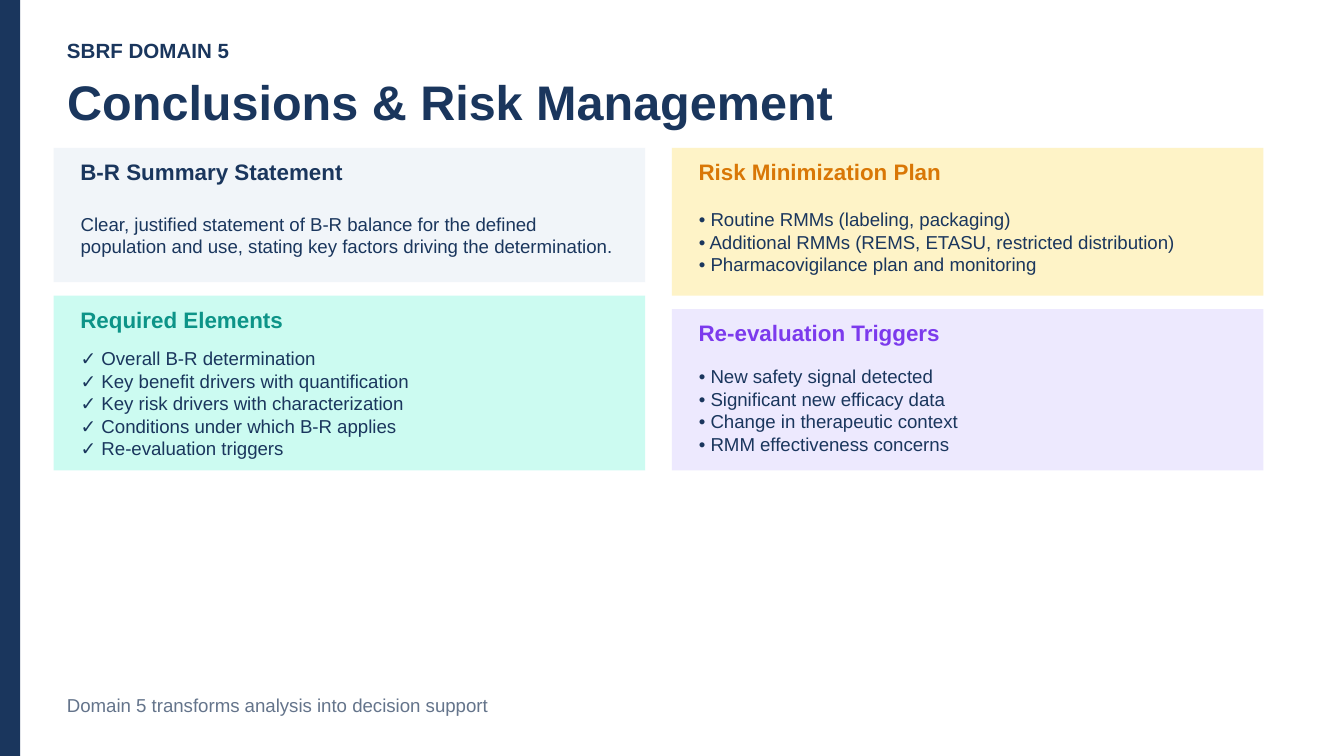
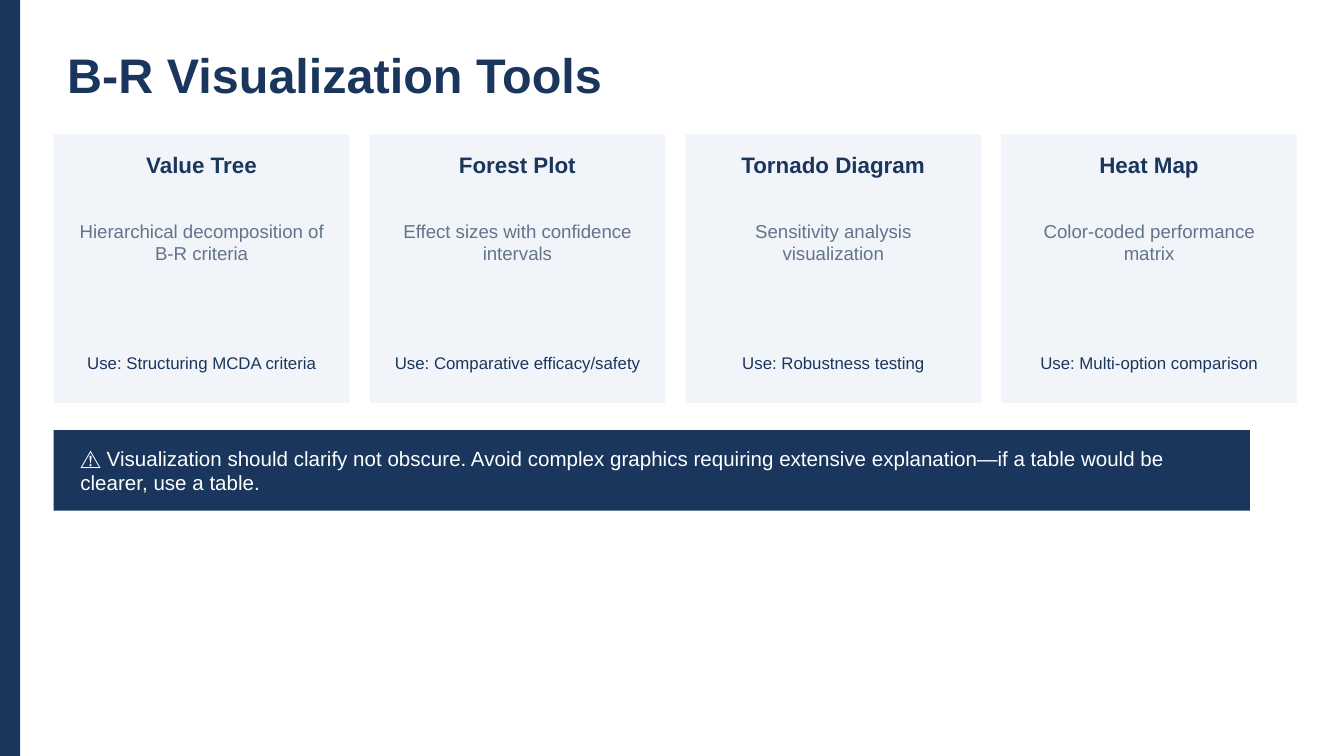
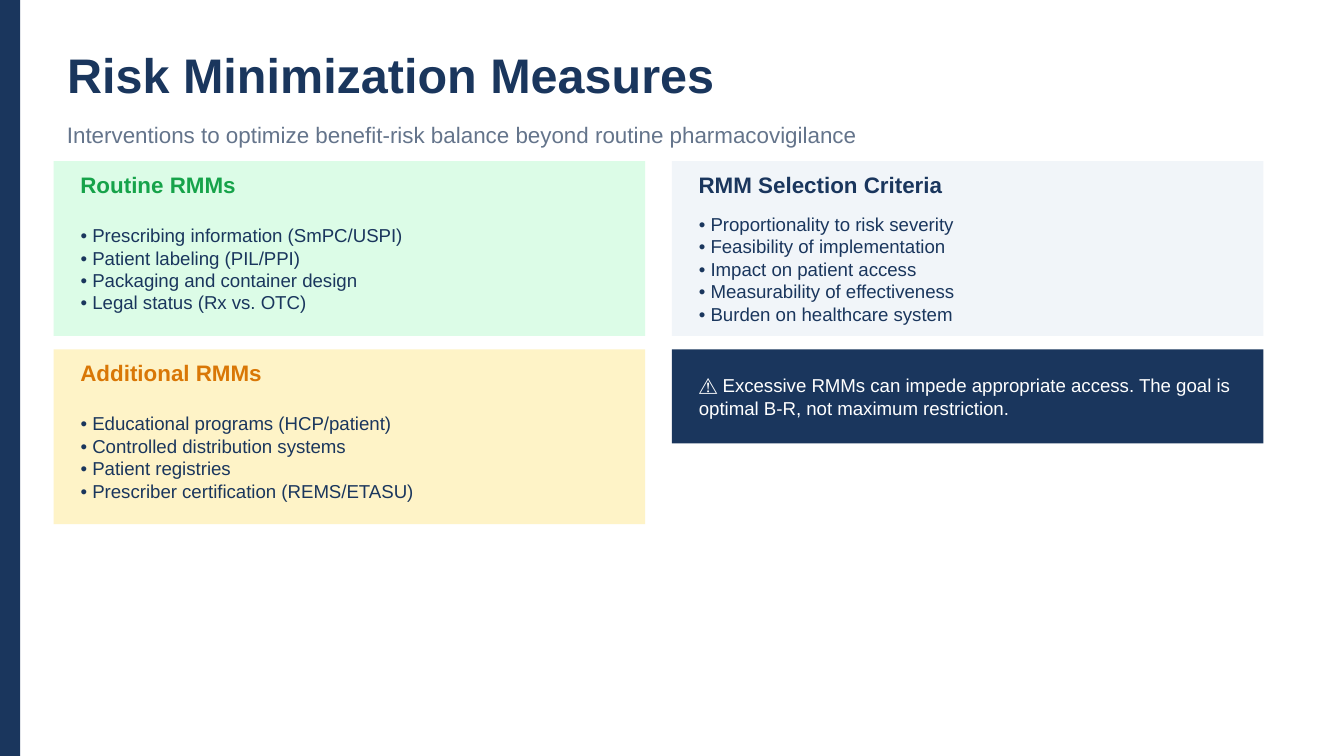
"""Build three slides on benefit-risk conclusions, visualization tools and risk minimization."""
from lxml import etree
from pptx import Presentation
from pptx import util as u
from pptx.dml.color import RGBColor
from pptx.enum import shapes, text
from pptx.oxml import ns

FONT = "Arial"
NAVY = RGBColor(0x1A, 0x36, 0x5D)
SLATE = RGBColor(0x64, 0x74, 0x8B)
WHITE = RGBColor(0xFF, 0xFF, 0xFF)
PALE_GREY = RGBColor(0xF1, 0xF5, 0xF9)
TEAL = RGBColor(0x0D, 0x94, 0x88)
PALE_TEAL = RGBColor(0xCC, 0xFB, 0xF1)
AMBER = RGBColor(0xD9, 0x77, 0x06)
PALE_AMBER = RGBColor(0xFE, 0xF3, 0xC7)
VIOLET = RGBColor(0x7C, 0x3A, 0xED)
PALE_VIOLET = RGBColor(0xED, 0xE9, 0xFE)
GREEN = RGBColor(0x16, 0xA3, 0x4A)
PALE_GREEN = RGBColor(0xDC, 0xFC, 0xE7)

MARGIN = 0.4
RIGHT_COLUMN = 5
CARD_WIDTH = 4.4
COMPARISON_LAYOUT, TITLE_ONLY_LAYOUT = 4, 5


def add_box(slide, left, top, width, height, fill):
    box = slide.shapes.add_shape(
        shapes.MSO_SHAPE.RECTANGLE, u.Inches(left), u.Inches(top), u.Inches(width), u.Inches(height))
    box.shadow.inherit = False
    box.fill.solid()
    box.fill.fore_color.rgb = fill
    box.line.fill.background()


def write(slide, left, top, width, height, lines, size, color=NAVY, bold=False,
          align=text.PP_ALIGN.LEFT, placeholder=None):
    area = [u.Inches(length) for length in (left, top, width, height)]
    shape = placeholder or slide.shapes.add_textbox(*area)
    shape.left, shape.top, shape.width, shape.height = area
    slide.shapes.element.append(shape.element)
    frame = shape.text_frame
    frame.text = "\n".join(lines)
    frame.word_wrap = True
    frame.auto_size = text.MSO_AUTO_SIZE.NONE
    frame.vertical_anchor = text.MSO_ANCHOR.MIDDLE
    for paragraph in frame.paragraphs:
        paragraph.alignment = align
        paragraph.space_before = u.Pt(0)
        paragraph.font.name = FONT
        paragraph.font.size = u.Pt(size)
        paragraph.font.bold = bold
        paragraph.font.color.rgb = color
        if placeholder:
            properties = paragraph._p.get_or_add_pPr()
            properties.set("marL", "0")
            properties.set("indent", "0")
            no_bullet = etree.Element(ns.qn("a:buNone"))
            properties.find(ns.qn("a:defRPr")).addprevious(no_bullet)


presentation = Presentation()
presentation.slide_width = u.Inches(10)
presentation.slide_height = u.Inches(5.625)

slides = []
for title, title_top, layout in [
    ("Conclusions & Risk Management", 0.5, COMPARISON_LAYOUT),
    ("B-R Visualization Tools", 0.3, TITLE_ONLY_LAYOUT),
    ("Risk Minimization Measures", 0.3, COMPARISON_LAYOUT),
]:
    slide = presentation.slides.add_slide(presentation.slide_layouts[layout])
    add_box(slide, 0, 0, 0.15, 5.625, NAVY)
    write(slide, MARGIN, title_top, 9, 0.5, [title], 26, bold=True, placeholder=slide.shapes.title)
    slides.append(slide)
conclusions, tools, measures = slides

write(conclusions, MARGIN, 0.25, 4, 0.25, ["SBRF DOMAIN 5"], 11, bold=True)
write(conclusions, MARGIN, 5.1, 9, 0.3, ["Domain 5 transforms analysis into decision support"], 10, SLATE)
write(measures, MARGIN, 0.85, 9, 0.3,
      ["Interventions to optimize benefit-risk balance beyond routine pharmacovigilance"], 12, SLATE)

conclusion_cards = [
    (MARGIN, 1.1, 1, PALE_GREY, NAVY, "B-R Summary Statement", [
        "Clear, justified statement of B-R balance for the defined population and use, "
        "stating key factors driving the determination."]),
    (MARGIN, 2.2, 1.3, PALE_TEAL, TEAL, "Required Elements", [
        "✓ Overall B-R determination",
        "✓ Key benefit drivers with quantification",
        "✓ Key risk drivers with characterization",
        "✓ Conditions under which B-R applies",
        "✓ Re-evaluation triggers"]),
    (RIGHT_COLUMN, 1.1, 1.1, PALE_AMBER, AMBER, "Risk Minimization Plan", [
        "• Routine RMMs (labeling, packaging)",
        "• Additional RMMs (REMS, ETASU, restricted distribution)",
        "• Pharmacovigilance plan and monitoring"]),
    (RIGHT_COLUMN, 2.3, 1.2, PALE_VIOLET, VIOLET, "Re-evaluation Triggers", [
        "• New safety signal detected",
        "• Significant new efficacy data",
        "• Change in therapeutic context",
        "• RMM effectiveness concerns"]),
]
measure_cards = [
    (MARGIN, 1.2, 1.3, PALE_GREEN, GREEN, "Routine RMMs", [
        "• Prescribing information (SmPC/USPI)",
        "• Patient labeling (PIL/PPI)",
        "• Packaging and container design",
        "• Legal status (Rx vs. OTC)"]),
    (MARGIN, 2.6, 1.3, PALE_AMBER, AMBER, "Additional RMMs", [
        "• Educational programs (HCP/patient)",
        "• Controlled distribution systems",
        "• Patient registries",
        "• Prescriber certification (REMS/ETASU)"]),
    (RIGHT_COLUMN, 1.2, 1.3, PALE_GREY, NAVY, "RMM Selection Criteria", [
        "• Proportionality to risk severity",
        "• Feasibility of implementation",
        "• Impact on patient access",
        "• Measurability of effectiveness",
        "• Burden on healthcare system"]),
    (RIGHT_COLUMN, 2.6, 0.7, NAVY, WHITE, None, [
        "⚠ Excessive RMMs can impede appropriate access. "
        "The goal is optimal B-R, not maximum restriction."]),
]
for slide, cards in [(conclusions, conclusion_cards), (measures, measure_cards)]:
    bodies = [shape for shape in slide.placeholders if shape.placeholder_format.idx > 0]
    for body, (left, top, height, fill, accent, heading, lines) in zip(bodies, cards):
        add_box(slide, left, top, CARD_WIDTH, height, fill)
        inner_left, inner_width = left + 0.1, CARD_WIDTH - 0.2
        if heading:
            write(slide, inner_left, top + 0.05, inner_width, 0.25, [heading], 12, accent, bold=True)
            write(slide, inner_left, top + 0.35, inner_width, height - 0.4, lines, 10, placeholder=body)
        else:
            write(slide, inner_left, top + 0.1, inner_width, height - 0.2, lines, 10, accent,
                  placeholder=body)

TOOL_WIDTH, TOOL_GAP = 2.2, 0.15
CENTER = text.PP_ALIGN.CENTER
for column, (name, description, use) in enumerate([
    ("Value Tree", "Hierarchical decomposition of B-R criteria", "Use: Structuring MCDA criteria"),
    ("Forest Plot", "Effect sizes with confidence intervals", "Use: Comparative efficacy/safety"),
    ("Tornado Diagram", "Sensitivity analysis visualization", "Use: Robustness testing"),
    ("Heat Map", "Color-coded performance matrix", "Use: Multi-option comparison"),
]):
    left = MARGIN + column * (TOOL_WIDTH + TOOL_GAP)
    add_box(tools, left, 1, TOOL_WIDTH, 2, PALE_GREY)
    write(tools, left, 1.05, TOOL_WIDTH, 0.35, [name], 12, bold=True, align=CENTER)
    write(tools, left + 0.05, 1.45, TOOL_WIDTH - 0.1, 0.7, [description], 10, SLATE, align=CENTER)
    write(tools, left + 0.05, 2.5, TOOL_WIDTH - 0.1, 0.4, [use], 9, align=CENTER)

add_box(tools, MARGIN, 3.2, 8.9, 0.6, NAVY)
write(tools, MARGIN + 0.1, 3.3, 8.7, 0.4, [
    "⚠ Visualization should clarify not obscure. Avoid complex graphics requiring extensive "
    "explanation—if a table would be clearer, use a table."], 11, WHITE)

presentation.save("out.pptx")
